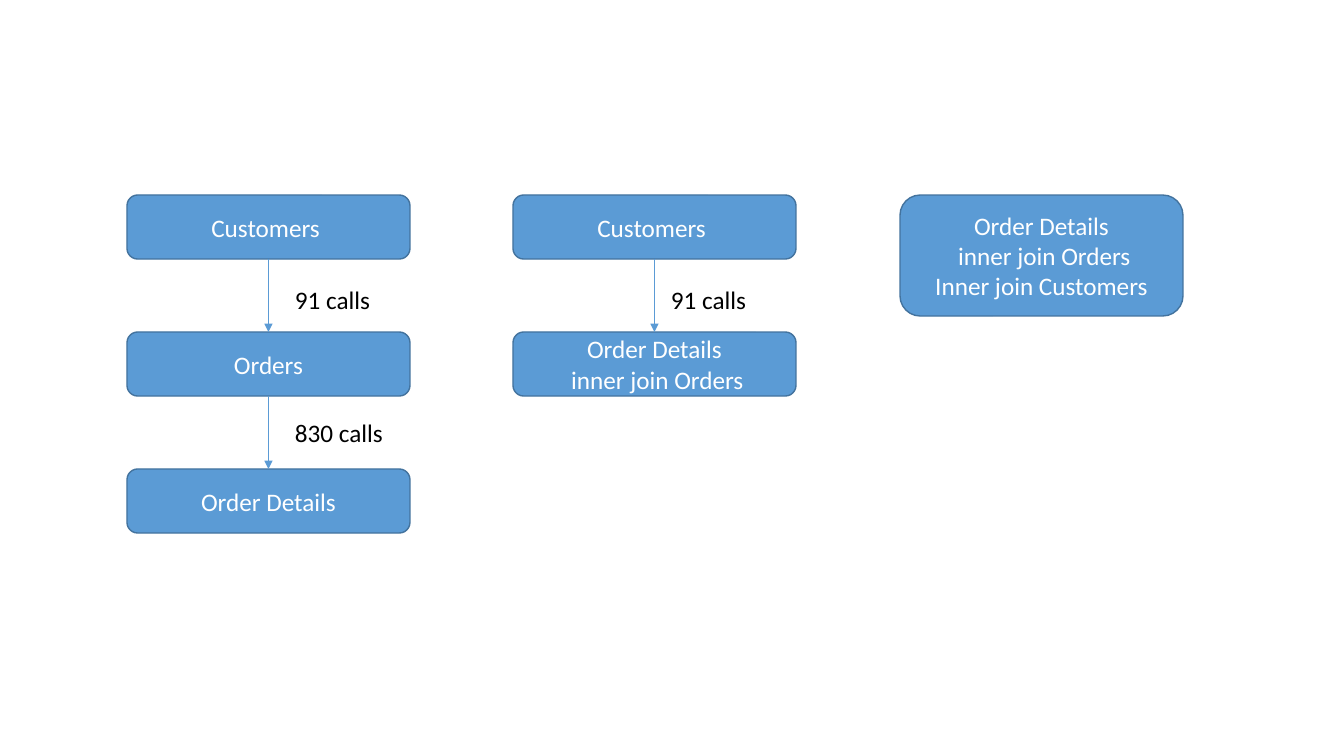
import dataclasses

import pptx
import pptx.dml.color
import pptx.enum.shapes
import pptx.enum.text
import pptx.oxml
import pptx.oxml.ns
import pptx.util

EMU_PER_PX = 914400 / 100.8
SLIDE_WIDTH, SLIDE_HEIGHT = 1344, 756
COLUMN_LEFTS = (127, 513, 900)
FIRST_TOP, ROW_PITCH = 195, 137
BOX_WIDTH, BOX_HEIGHT, JOIN_HEIGHT = 283, 64, 121
LABEL_WIDTH, LABEL_HEIGHT = 139, 40
BLUE, DARK_BLUE, WHITE, BLACK = "5B9BD5", "43739E", "FFFFFF", "000000"
BOTTOM_SIDE, TOP_SIDE = 2, 0


@dataclasses.dataclass(frozen=True)
class QueryBox:
    column: int
    row: int
    text: str
    height: int = BOX_HEIGHT


@dataclasses.dataclass(frozen=True)
class CallLabel:
    left: int
    top: int
    text: str


QUERY_BOXES = (
    QueryBox(0, 0, "Customers "),
    QueryBox(0, 1, "Orders"),
    QueryBox(0, 2, "Order Details"),
    QueryBox(1, 0, "Customers "),
    QueryBox(1, 1, "Order Details\n inner join Orders"),
    QueryBox(2, 0, "Order Details\n inner join Orders\nInner join Customers", JOIN_HEIGHT),
)
CALL_LABELS = (
    CallLabel(285, 279, "91 calls"),
    CallLabel(285, 412, "830 calls"),
    CallLabel(661, 279, "91 calls"),
)


def px(length: int) -> pptx.util.Emu:
    return pptx.util.Emu(round(length * EMU_PER_PX))


def color(value: str) -> pptx.dml.color.RGBColor:
    return pptx.dml.color.RGBColor.from_string(value)


def write_text(shape, text: str, *, fill: str, align, anchor, size: int = 18, font: str = "Calibri") -> None:
    frame = shape.text_frame
    frame.word_wrap = True
    frame.vertical_anchor = anchor
    frame.text = text
    for paragraph in frame.paragraphs:
        paragraph.alignment = align
        for run in paragraph.runs:
            run.font.name = font
            run.font.size = pptx.util.Pt(size)
            run.font.color.rgb = color(fill)


def draw_box(slide, box: QueryBox):
    shape = slide.shapes.add_shape(
        pptx.enum.shapes.MSO_SHAPE.ROUNDED_RECTANGLE,
        px(COLUMN_LEFTS[box.column]),
        px(FIRST_TOP + box.row * ROW_PITCH),
        px(BOX_WIDTH),
        px(box.height),
    )
    shape.shadow.inherit = False
    shape.fill.solid()
    shape.fill.fore_color.rgb = color(BLUE)
    shape.line.color.rgb = color(DARK_BLUE)
    shape.line.width = pptx.util.Pt(1)
    write_text(
        shape,
        box.text,
        fill=WHITE,
        align=pptx.enum.text.PP_ALIGN.CENTER,
        anchor=pptx.enum.text.MSO_ANCHOR.MIDDLE,
    )
    return shape


def draw_arrow(slide, upper, lower) -> None:
    connector = slide.shapes.add_connector(pptx.enum.shapes.MSO_CONNECTOR.STRAIGHT, 0, 0, 0, 0)
    connector.begin_connect(upper, BOTTOM_SIDE)
    connector.end_connect(lower, TOP_SIDE)
    connector.line.color.rgb = color(BLUE)
    connector.line.width = pptx.util.Pt(0.5)
    arrowhead = pptx.oxml.parse_xml(f'<a:tailEnd {pptx.oxml.ns.nsdecls("a")} type="triangle"/>')
    connector.line._get_or_add_ln().append(arrowhead)
    no_effects = pptx.oxml.parse_xml(f'<a:effectLst {pptx.oxml.ns.nsdecls("a")}/>')
    connector._element.spPr.append(no_effects)


def draw_label(slide, label: CallLabel) -> None:
    shape = slide.shapes.add_textbox(px(label.left), px(label.top), px(LABEL_WIDTH), px(LABEL_HEIGHT))
    write_text(
        shape,
        label.text,
        fill=BLACK,
        align=pptx.enum.text.PP_ALIGN.LEFT,
        anchor=pptx.enum.text.MSO_ANCHOR.TOP,
    )
    shape.text_frame.auto_size = pptx.enum.text.MSO_AUTO_SIZE.SHAPE_TO_FIT_TEXT


def main() -> None:
    presentation = pptx.Presentation()
    presentation.slide_width = px(SLIDE_WIDTH)
    presentation.slide_height = px(SLIDE_HEIGHT)
    slide = presentation.slides.add_slide(presentation.slide_layouts[6])
    shapes = {(box.column, box.row): draw_box(slide, box) for box in QUERY_BOXES}
    for (column, row), upper in shapes.items():
        lower = shapes.get((column, row + 1))
        if lower is not None:
            draw_arrow(slide, upper, lower)
    for label in CALL_LABELS:
        draw_label(slide, label)
    presentation.save("out.pptx")


if __name__ == "__main__":
    main()
